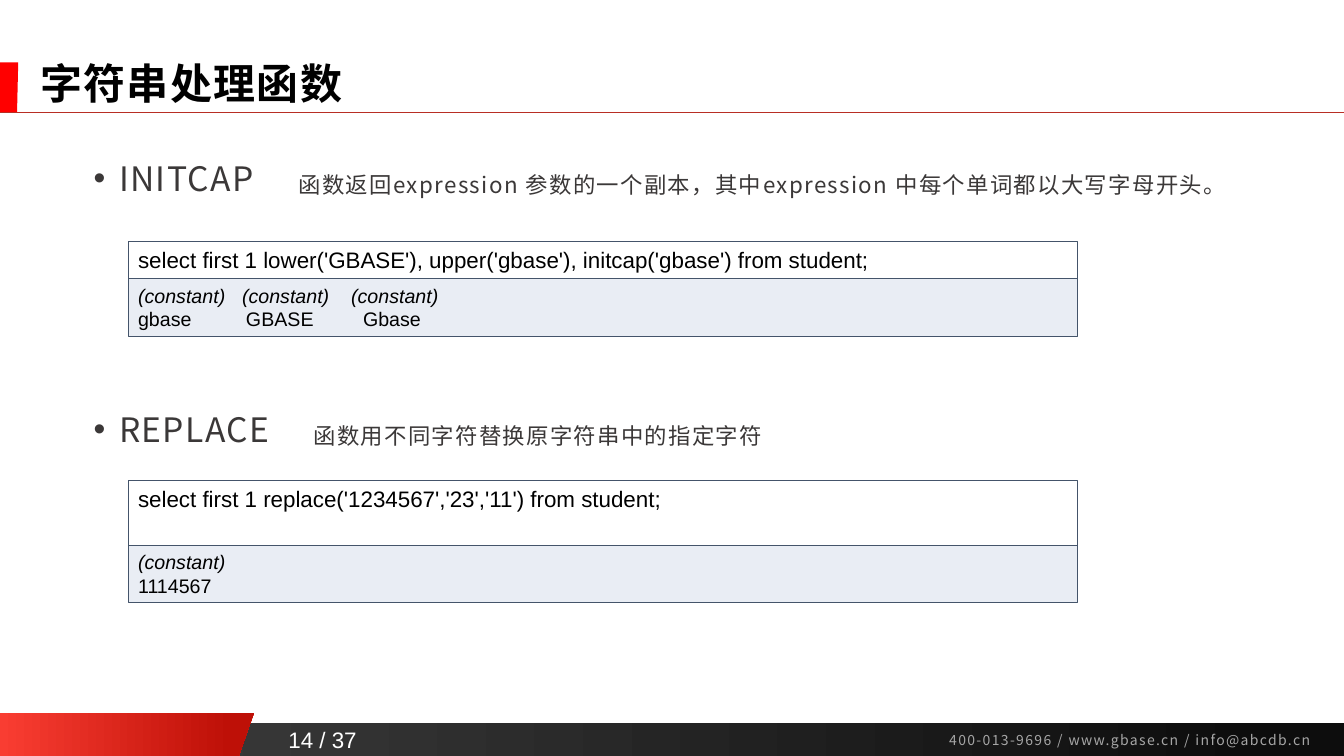
from dataclasses import dataclass

from lxml import etree
from pptx import Presentation
from pptx import util as u
from pptx.dml.color import RGBColor
from pptx.enum import shapes, text
from pptx.oxml import ns


@dataclass(frozen=True)
class Theme:
    latin: str = "Arial"
    cjk: str = "Noto Sans CJK SC"
    black: str = "000000"
    white: str = "FFFFFF"
    body: str = "3B3838"
    contact: str = "A6A6A6"
    red: str = "FF0000"
    rule: str = "B82E24"
    border: str = "44546A"
    result_fill: str = "E9EDF4"
    bar: tuple = (("404040", 0), ("0D0D0D", 0.94))
    badge: tuple = (("F93D32", 0), ("BE1007", 0.91))
    title_size: int = 30
    term_size: int = 24
    text_size: int = 16
    result_size: int = 14
    contact_size: int = 10


def add_xml(parent, tag, **attributes):
    return etree.SubElement(parent, ns.qn(tag), attributes)


class SlideBuilder:
    def __init__(self, page, theme):
        self.page = page
        self.theme = theme

    def paint(self, shape, fill=None, border=None):
        """Fill with a colour, a pair of gradient stops, or nothing."""
        shape.shadow.inherit = False
        if fill is None:
            shape.fill.background()
        elif isinstance(fill, str):
            shape.fill.solid()
            shape.fill.fore_color.rgb = RGBColor.from_string(fill)
        else:
            shape.fill.gradient()
            shape.fill.gradient_angle = 0
            for stop, (color, position) in zip(shape.fill.gradient_stops, fill):
                stop.color.rgb = RGBColor.from_string(color)
                stop.position = position
        if border:
            shape.line.color.rgb = RGBColor.from_string(border)
            shape.line.width = u.Pt(0.75)
        else:
            shape.line.fill.background()

    def rectangle(self, left, top, width, height, fill=None, border=None):
        box = self.page.shapes.add_shape(
            shapes.MSO_SHAPE.RECTANGLE, u.Cm(left), u.Cm(top), u.Cm(width), u.Cm(height))
        self.paint(box, fill, border)
        return box

    def polygon(self, points, fill):
        corners = [(u.Cm(x), u.Cm(y)) for x, y in points]
        builder = self.page.shapes.build_freeform(*corners[0])
        builder.add_line_segments(corners[1:], close=True)
        self.paint(builder.convert_to_shape(), fill)

    def horizontal_line(self, top, width, color):
        line = self.page.shapes.add_connector(
            shapes.MSO_CONNECTOR.STRAIGHT, 0, u.Cm(top), u.Cm(width), u.Cm(top))
        line.line.color.rgb = RGBColor.from_string(color)
        line.line.width = u.Pt(0.5)
        add_xml(line._element.spPr, "a:effectLst")

    def style(self, para, size, color, font, bold=False, italic=False, spaced=False):
        for span in para.runs:
            span.font.size = u.Pt(size)
            span.font.name = font
            span.font.bold = bold
            span.font.italic = italic
            span.font.color.rgb = RGBColor.from_string(color)
            properties = span._r.get_or_add_rPr()
            add_xml(properties, "a:ea", typeface=self.theme.cjk)
            if spaced:
                properties.set("spc", "100")

    def label(self, words, left, top, width, height, size, color, font,
              inset=0.0, anchor=text.MSO_ANCHOR.TOP, align=text.PP_ALIGN.LEFT,
              bullet=False, **looks):
        box = self.page.shapes.add_textbox(u.Cm(left), u.Cm(top), u.Cm(width), u.Cm(height))
        frame = box.text_frame
        frame.word_wrap = True
        frame.vertical_anchor = anchor
        frame.margin_left = frame.margin_right = u.Cm(inset)
        frame.margin_top = frame.margin_bottom = 0
        para = frame.paragraphs[0]
        para.text = words
        para.alignment = align
        if bullet:
            properties = para._p.get_or_add_pPr()
            properties.set("marL", str(u.Cm(0.64)))
            properties.set("indent", str(-u.Cm(0.64)))
            add_xml(properties, "a:buFont", typeface=self.theme.latin)
            add_xml(properties, "a:buChar", char="•")
        self.style(para, size, color, font, **looks)
        return para

    def code_cell(self, rows, top, height, size, fill=None):
        """Draw a bordered cell; each row is (words, tab stops in cm, italic)."""
        box = self.rectangle(3.23, top, 23.93, height, fill, self.theme.border)
        frame = box.text_frame
        frame.word_wrap = True
        frame.vertical_anchor = text.MSO_ANCHOR.TOP
        for index, (words, stops, italic) in enumerate(rows):
            para = frame.add_paragraph() if index else frame.paragraphs[0]
            para.text = words
            para.alignment = text.PP_ALIGN.LEFT
            if stops:
                tabs = add_xml(para._p.get_or_add_pPr(), "a:tabLst")
                for stop in stops:
                    add_xml(tabs, "a:tab", pos=str(u.Cm(stop)), algn="l")
            self.style(para, size, self.theme.black, self.theme.latin, italic=italic)

    def function_entry(self, top, term, meaning, meaning_left):
        theme = self.theme
        self.label(term, 2.36, top, 5, 1.23, theme.term_size, theme.body, theme.cjk,
                   bullet=True, spaced=True)
        self.label(meaning, meaning_left, top + 0.33, 33.5 - meaning_left, 0.82,
                   theme.text_size, theme.body, theme.cjk, spaced=True)

    def example(self, top, query_height, query, results):
        self.code_cell(results, top + query_height, 1.45, self.theme.result_size,
                       self.theme.result_fill)
        self.code_cell([(query, (), False)], top, query_height, self.theme.text_size)


def main():
    deck = Presentation()
    deck.slide_width, deck.slide_height = u.Cm(33.87), u.Cm(19.05)
    theme = Theme()
    slide = SlideBuilder(deck.slides.add_slide(deck.slide_layouts[6]), theme)

    slide.rectangle(0, 18.21, 33.87, 0.84, theme.bar)
    slide.polygon([(0, 17.96), (6.4, 17.96), (6.02, 19.05), (0, 19.05)], theme.badge)
    slide.polygon([(0, 1.57), (0.46, 1.57), (0.43, 2.84), (0, 2.84)], theme.red)
    slide.horizontal_line(2.82, 33.87, theme.rule)
    slide.label("400-013-9696 / www.gbase.cn / info@abcdb.cn", 23.67, 18.29, 10.13, 0.69,
                theme.contact_size, theme.contact, theme.cjk, inset=0.25,
                anchor=text.MSO_ANCHOR.MIDDLE, spaced=True)
    slide.label("14 / 37", 6.96, 18.16, 2.34, 0.94, theme.text_size, theme.white,
                theme.latin, anchor=text.MSO_ANCHOR.MIDDLE, align=text.PP_ALIGN.CENTER)
    title = slide.label("字符串处理函数", 0.76, 1.5, 31.14, 1.35, theme.title_size,
                        theme.black, theme.latin, inset=0.25,
                        anchor=text.MSO_ANCHOR.MIDDLE, bold=True, spaced=True)
    title.line_spacing = 0.9

    slide.function_entry(
        3.98, "INITCAP",
        "函数返回expression 参数的一个副本，其中expression 中每个单词都以大写字母开头。", 7.52)
    slide.example(
        6.08, 0.94,
        "select first 1 lower('GBASE'), upper('gbase'), initcap('gbase') from student;",
        [("(constant)\t(constant)\t(constant)", (2.62, 5.37), True),
         ("gbase\tGBASE\tGbase", (2.72, 5.67), False)])

    slide.function_entry(10.31, "REPLACE", "函数用不同字符替换原字符串中的指定字符", 7.9)
    slide.example(
        12.11, 1.63,
        "select first 1 replace('1234567','23','11') from student;",
        [("(constant)", (), True), ("1114567", (), False)])

    deck.save("out.pptx")


if __name__ == "__main__":
    main()
